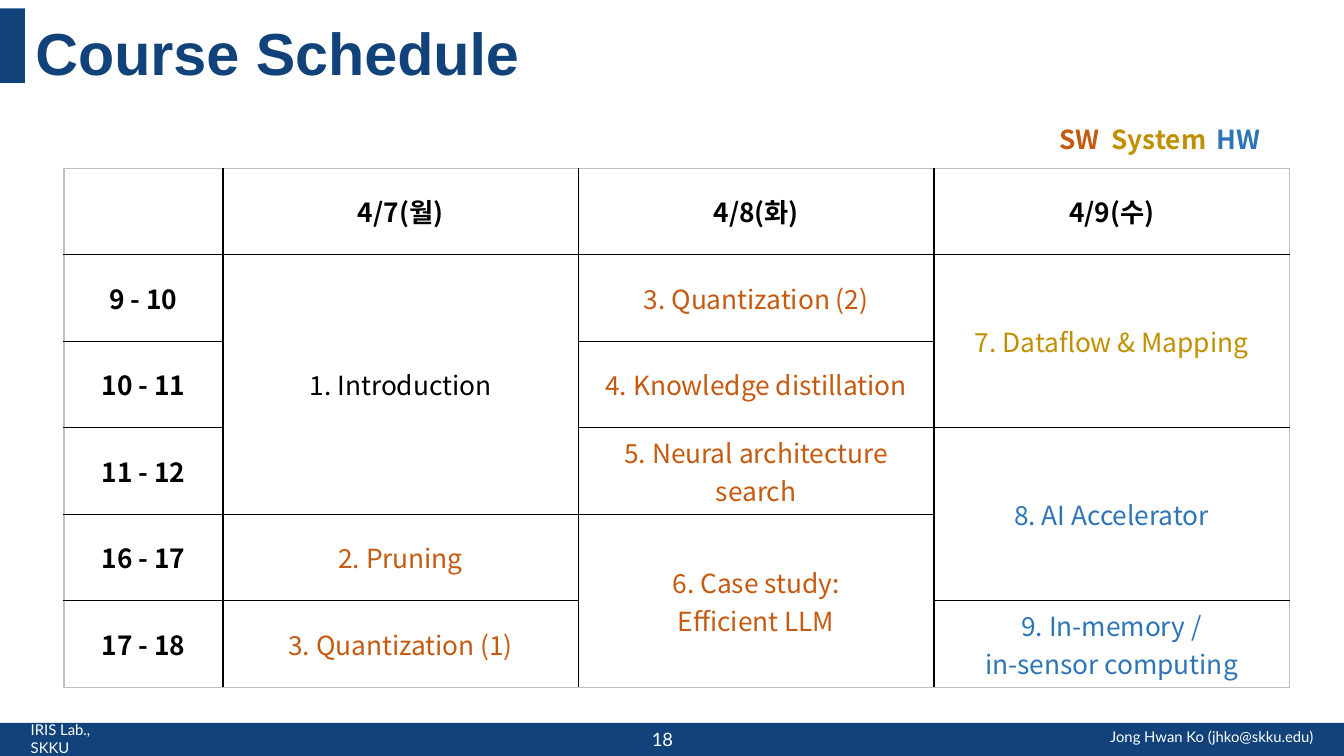
import pptx
import pptx.util
import pptx.dml.color
import pptx.enum.shapes
import pptx.enum.text
from lxml import etree
from pptx.oxml.ns import qn

Inches = pptx.util.Inches
Align = pptx.enum.text.PP_ALIGN
Anchor = pptx.enum.text.MSO_ANCHOR

COLORS = {
    "navy": "11437A", "white": "FFFFFF", "black": "000000", "edge": "BFBFBF",
    "software": "C55A11", "system": "BF9000", "hardware": "2E75B6",
}
BODY_FONT = "Noto Sans CJK KR"

DAYS = ["4/7(월)", "4/8(화)", "4/9(수)"]
HOURS = ["9 - 10", "10 - 11", "11 - 12", "16 - 17", "17 - 18"]
# row, column, rows covered, topic, colour
SESSIONS = [
    (1, 1, 3, "1. Introduction", "black"),
    (4, 1, 1, "2. Pruning", "software"),
    (5, 1, 1, "3. Quantization (1)", "software"),
    (1, 2, 1, "3. Quantization (2)", "software"),
    (2, 2, 1, "4. Knowledge distillation", "software"),
    (3, 2, 1, "5. Neural architecture search", "software"),
    (4, 2, 2, "6. Case study:\nEfficient LLM", "software"),
    (1, 3, 2, "7. Dataflow & Mapping", "system"),
    (3, 3, 2, "8. AI Accelerator", "hardware"),
    (5, 3, 1, "9. In-memory /\nin-sensor computing", "hardware"),
]


def rgb(name):
    return pptx.dml.color.RGBColor.from_string(COLORS[name])


class SlideWriter:
    def __init__(self, page):
        self.page = page

    def bar(self, left, top, width, height):
        shape = self.page.shapes.add_shape(
            pptx.enum.shapes.MSO_SHAPE.RECTANGLE,
            Inches(left), Inches(top), Inches(width), Inches(height))
        shape.shadow.inherit = False
        shape.fill.solid()
        shape.fill.fore_color.rgb = rgb("navy")
        shape.line.fill.background()

    def span(self, para, text, size, color, font=BODY_FONT, bold=False):
        span = para.add_run()
        span.text = text
        span.font.size = pptx.util.Pt(size)
        span.font.bold = bold
        span.font.color.rgb = rgb(color)
        span.font.name = font
        etree.SubElement(span.font._element, qn("a:ea"), typeface=font)

    def text_box(self, left, top, width, height, spans, align=Align.LEFT,
                 anchor=Anchor.MIDDLE, inset=(0.06, 0.05), tabs=()):
        box = self.page.shapes.add_textbox(
            Inches(left), Inches(top), Inches(width), Inches(height))
        frame = box.text_frame
        frame.word_wrap = True
        frame.vertical_anchor = anchor
        frame.margin_left = frame.margin_right = Inches(inset[0])
        frame.margin_top = frame.margin_bottom = Inches(inset[1])
        para = frame.paragraphs[0]
        para.alignment = align
        if tabs:
            tab_list = etree.SubElement(para._p.get_or_add_pPr(), qn("a:tabLst"))
            for position in tabs:
                etree.SubElement(tab_list, qn("a:tab"),
                                 pos=str(Inches(position)), algn="l")
        for options in spans:
            self.span(para, **options)

    def cell(self, cell, text, color="black", bold=False):
        cell.vertical_anchor = Anchor.MIDDLE
        cell.margin_left = cell.margin_right = Inches(0.11)
        cell.margin_top = cell.margin_bottom = Inches(0.04)
        para = cell.text_frame.paragraphs[0]
        para.alignment = Align.CENTER
        for index, line in enumerate(text.split("\n")):
            if index:
                para.add_line_break()
            self.span(para, line, 16, color, bold=bold)

    def borders(self, cell, edges):
        properties = cell._tc.get_or_add_tcPr()
        for tag, outer in edges.items():
            line = etree.SubElement(properties, qn(f"a:{tag}"),
                                    w=str(pptx.util.Pt(1)))
            fill = etree.SubElement(line, qn("a:solidFill"))
            etree.SubElement(fill, qn("a:srgbClr"),
                             val=COLORS["edge" if outer else "black"])
        cell.fill.background()

    def schedule(self, left, top, widths, row_height):
        rows, columns = len(HOURS) + 1, len(widths)
        table = self.page.shapes.add_table(
            rows, columns, Inches(left), Inches(top),
            Inches(sum(widths)), Inches(row_height * rows)).table
        table.first_row = table.horz_banding = False
        for column, width in zip(table.columns, widths):
            column.width = Inches(width)
        for row in table.rows:
            row.height = Inches(row_height)

        # Headings and sessions
        for index, day in enumerate(DAYS, 1):
            self.cell(table.cell(0, index), day, bold=True)
        for index, hour in enumerate(HOURS, 1):
            self.cell(table.cell(index, 0), hour, bold=True)
        for row, column, covered, topic, color in SESSIONS:
            cell = table.cell(row, column)
            if covered > 1:
                cell.merge(table.cell(row + covered - 1, column))
            self.cell(cell, topic, color)

        # Grey outer frame, black inner lines
        for row in range(rows):
            for column in range(columns):
                cell = table.cell(row, column)
                height = cell.span_height if cell.is_merge_origin else 1
                self.borders(cell, {
                    "lnL": column == 0, "lnR": column == columns - 1,
                    "lnT": row == 0, "lnB": row + height == rows})


def main():
    deck = pptx.Presentation()
    deck.slide_width, deck.slide_height = Inches(11.34), Inches(6.38)
    writer = SlideWriter(deck.slides.add_slide(deck.slide_layouts[6]))

    # Footer
    footer = {"size": 9, "color": "white", "font": "Lato"}
    writer.bar(0, 6.1, 11.34, 0.28)
    writer.text_box(0.2, 6.11, 0.93, 0.25, [{"text": "IRIS Lab., SKKU", **footer}])
    writer.text_box(8.64, 6.09, 2.5, 0.25,
                    [{"text": "Jong Hwan Ko (jhko@skku.edu)", **footer}], Align.RIGHT)
    writer.text_box(5.39, 6.09, 0.4, 0.29,
                    [{**footer, "text": "18", "size": 11.2}], Align.CENTER)

    # Title
    writer.bar(0, 0.07, 0.21, 0.63)
    writer.text_box(0.2, 0.1, 10.93, 0.64,
                    [{"text": "Course Schedule", "size": 36, "color": "navy",
                      "font": "Arial", "bold": True}],
                    anchor=Anchor.TOP, inset=(0.1, 0.04))

    # Colour legend
    legend = [("SW\t", "software"), ("System\t", "system"), ("HW", "hardware")]
    writer.text_box(8.84, 0.99, 2.05, 0.37,
                    [{"text": text, "size": 15.9, "color": color, "bold": True}
                     for text, color in legend],
                    anchor=Anchor.TOP, inset=(0.1, 0.05), tabs=(0.44, 1.33))

    # Timetable
    writer.schedule(0.54, 1.42, [1.34, 3, 3, 3], 0.73)
    deck.save("out.pptx")


if __name__ == "__main__":
    main()
